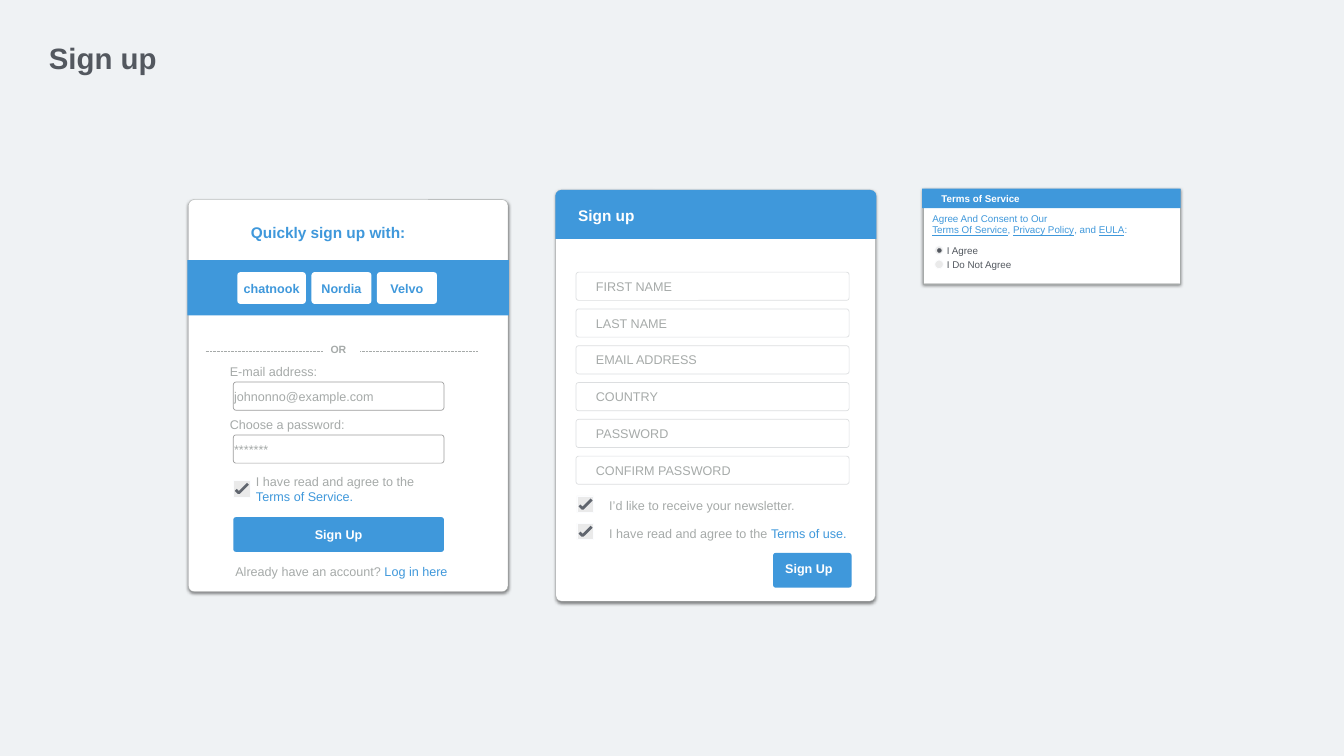
from dataclasses import dataclass

import pptx
import pptx.dml.color
import pptx.enum.dml
import pptx.enum.shapes
import pptx.enum.text
import pptx.oxml
import pptx.oxml.ns
import pptx.util

Inches = pptx.util.Inches
ShapeType = pptx.enum.shapes.MSO_SHAPE
Align = pptx.enum.text.PP_ALIGN


@dataclass(frozen=True)
class Theme:
    font: str = "Arial"
    background: str = "EFF2F4"
    blue: str = "3F98DB"
    white: str = "FFFFFF"
    gray: str = "A6AAA9"
    dark: str = "53585F"
    check: str = "60656E"
    control: str = "EAEAEA"
    control_line: str = "FCFDFF"
    input_line: str = "9C9C9C"
    field_line: str = "DCDEE0"
    title_size: int = 42
    heading_size: int = 22
    body_size: int = 18
    divider_size: int = 15
    small_size: int = 14


THEME = Theme()


def rgb(color):
    return pptx.dml.color.RGBColor.from_string(color)


def write_text(shape, text, size=THEME.body_size, color=THEME.gray, bold=False,
               align=Align.LEFT, wrap=True, inset=0, indent=0):
    """Text is a string, or a list of paragraphs made of (text, format) runs."""
    frame = shape.text_frame
    frame.auto_size = pptx.enum.text.MSO_AUTO_SIZE.NONE
    frame.word_wrap = wrap
    frame.vertical_anchor = pptx.enum.text.MSO_ANCHOR.MIDDLE
    frame.margin_left = Inches(inset + indent)
    frame.margin_right = frame.margin_top = frame.margin_bottom = Inches(inset)
    paragraphs = [[(text, {})]] if isinstance(text, str) else text
    for index, runs in enumerate(paragraphs):
        paragraph = frame.add_paragraph() if index else frame.paragraphs[0]
        paragraph.alignment = align
        for words, changes in runs:
            run = paragraph.add_run()
            run.text = words
            run.font.name = THEME.font
            run.font.size = pptx.util.Pt(size)
            run.font.bold = bold
            run.font.underline = changes.get("underline", False)
            run.font.color.rgb = rgb(changes.get("color", color))


def add_label(shapes, left, top, width, height, text, **text_format):
    label = shapes.add_textbox(Inches(left), Inches(top), Inches(width), Inches(height))
    write_text(label, text, **text_format)


def add_box(shapes, left, top, width, height, fill=None, line=None, line_width=1,
            kind=ShapeType.ROUNDED_RECTANGLE, radius=None, text=None, **text_format):
    box = shapes.add_shape(kind, Inches(left), Inches(top), Inches(width), Inches(height))
    box.shadow.inherit = False
    if radius is not None:
        box.adjustments[0] = radius
    if fill:
        box.fill.solid()
        box.fill.fore_color.rgb = rgb(fill)
    else:
        box.fill.background()
    if line:
        box.line.color.rgb = rgb(line)
        box.line.width = pptx.util.Pt(line_width)
    else:
        box.line.fill.background()
    if text:
        write_text(box, text, **text_format)
    return box


def add_card(shapes, left, top, width, height, **shape_format):
    card = add_box(shapes, left, top, width, height, THEME.white, THEME.gray, 0.5,
                   **shape_format)
    effects = card._element.spPr.find(pptx.oxml.ns.qn("a:effectLst"))
    effects.append(pptx.oxml.parse_xml(
        f'<a:outerShdw {pptx.oxml.ns.nsdecls("a")} blurRad="63500" dist="25400" '
        'dir="5400000" rotWithShape="0"><a:srgbClr val="000000">'
        '<a:alpha val="50000"/></a:srgbClr></a:outerShdw>'))


def add_button(shapes, left, top, width, height, text, **text_format):
    text_format = {"fill": THEME.blue, "color": THEME.white, "radius": 0.08} | text_format
    add_box(shapes, left, top, width, height, text=text, bold=True,
            align=Align.CENTER, **text_format)


def add_checkbox(shapes, left, top):
    add_box(shapes, left, top, 0.33, 0.33, THEME.control, THEME.control_line,
            kind=ShapeType.RECTANGLE)
    points = [(Inches(left + x), Inches(top + y))
              for x, y in ((0.05, 0.19), (0.11, 0.25), (0.29, 0.07))]
    builder = shapes.build_freeform(*points[0])
    builder.add_line_segments(points[1:], close=False)
    tick = builder.convert_to_shape()
    tick.shadow.inherit = False
    tick.fill.background()
    tick.line.color.rgb = rgb(THEME.check)
    tick.line.width = pptx.util.Pt(4)


def add_dotted_line(shapes, left, right, y):
    line = shapes.add_connector(pptx.enum.shapes.MSO_CONNECTOR.STRAIGHT,
                                Inches(left), Inches(y), Inches(right), Inches(y))
    line.line.color.rgb = rgb(THEME.gray)
    line.line.width = pptx.util.Pt(1)
    line.line.dash_style = pptx.enum.dml.MSO_LINE.ROUND_DOT
    line._element.spPr.append(
        pptx.oxml.parse_xml(f'<a:effectLst {pptx.oxml.ns.nsdecls("a")}/>'))


def add_radio(shapes, top, text, width, selected=False):
    add_box(shapes, 18.55, top, 0.17, 0.17, THEME.control, THEME.control_line,
            kind=ShapeType.OVAL)
    if selected:
        add_box(shapes, 18.6, top + 0.05, 0.08, 0.08, THEME.dark, THEME.dark, 0.5,
                kind=ShapeType.OVAL)
    add_label(shapes, 18.79, top - 0.07, width, 0.33, text,
              size=THEME.small_size, color=THEME.dark, wrap=False)


def add_quick_sign_up(shapes):
    link = {"color": THEME.blue}
    add_card(shapes, 3.74, 3.96, 6.34, 7.78, radius=0.018)
    add_label(shapes, 4.98, 4.38, 3.47, 0.47, "Quickly sign up with:",
              size=THEME.heading_size, color=THEME.blue, bold=True)

    # Account providers
    add_box(shapes, 3.72, 5.16, 6.38, 1.1, THEME.blue, kind=ShapeType.RECTANGLE)
    for left, width, name in ((4.71, 1.36, "chatnook"), (6.18, 1.19, "Nordia"),
                              (7.48, 1.19, "Velvo")):
        add_button(shapes, left, 5.4, width, 0.63, name,
                   fill=THEME.white, color=THEME.blue, radius=0.1)

    # Divider
    add_label(shapes, 6.56, 6.75, 0.44, 0.36, "OR",
              size=THEME.divider_size, bold=True, wrap=False)
    for left, right in ((4.08, 6.42), (7.15, 9.48)):
        add_dotted_line(shapes, left, right, 6.98)

    # Inputs, consent and button
    for top, caption, value in ((7.16, "E-mail address:", "johnonno@example.com"),
                                (8.21, "Choose a password:", "*******")):
        add_label(shapes, 4.56, top, 2.43, 0.41, caption, wrap=False)
        add_box(shapes, 4.63, top + 0.42, 4.18, 0.56, THEME.white, THEME.input_line,
                radius=0.095, text=value)
    add_checkbox(shapes, 4.63, 9.53)
    add_label(shapes, 5.08, 9.35, 3.39, 0.72,
              [[("I have read and agree to the", {})], [("Terms of Service.", link)]],
              wrap=False)
    add_button(shapes, 4.63, 10.26, 4.18, 0.69, "Sign Up")
    add_label(shapes, 3.92, 11.14, 5.71, 0.41,
              [[("Already have an account? ", {}), ("Log in here", link)]],
              align=Align.CENTER)


def add_full_sign_up(shapes):
    add_card(shapes, 11.03, 3.77, 6.34, 8.16, radius=0.018)
    add_box(shapes, 11.02, 3.77, 6.37, 0.97, THEME.blue, radius=0.12,
            kind=ShapeType.ROUND_2_SAME_RECTANGLE, text="Sign up",
            size=THEME.heading_size, color=THEME.white, bold=True, indent=0.42)

    # Fields
    names = ("FIRST NAME", "LAST NAME", "EMAIL ADDRESS", "COUNTRY", "PASSWORD",
             "CONFIRM PASSWORD")
    for index, name in enumerate(names):
        add_box(shapes, 11.43, 5.4 + 0.73 * index, 5.42, 0.56, line=THEME.field_line,
                radius=0.095, text=name, indent=0.38)

    # Options and button
    terms = [[("I have read and agree to the ", {}),
              ("Terms of use.", {"color": THEME.blue})]]
    for top, text in ((9.84, "I’d like to receive your newsletter."), (10.38, terms)):
        add_checkbox(shapes, 11.45, top)
        add_label(shapes, 12.09, top - 0.01, 5.1, 0.41, text)
    add_box(shapes, 15.34, 10.97, 1.56, 0.69, THEME.blue, radius=0.08)
    add_label(shapes, 15.58, 11.07, 1.09, 0.42, "Sign Up", color=THEME.white, bold=True)


def add_terms(shapes):
    link = {"underline": True}
    add_card(shapes, 18.32, 3.75, 5.1, 1.88, kind=ShapeType.RECTANGLE)
    add_box(shapes, 18.3, 3.74, 5.13, 0.39, THEME.blue, kind=ShapeType.RECTANGLE,
            text="Terms of Service", size=THEME.small_size, color=THEME.white,
            bold=True, indent=0.38)
    add_label(shapes, 18.5, 4.17, 3.95, 0.55,
              [[("Agree And Consent to Our", {})],
               [("Terms Of Service", link), (", ", {}), ("Privacy Policy", link),
                (", and ", {}), ("EULA", link), (":", {})]],
              size=THEME.small_size, color=THEME.blue, wrap=False)
    add_radio(shapes, 4.88, "I Agree", 0.74, selected=True)
    add_radio(shapes, 5.16, "I Do Not Agree", 1.41)


def main():
    presentation = pptx.Presentation()
    presentation.slide_width, presentation.slide_height = Inches(26.67), Inches(15)
    slide = presentation.slides.add_slide(presentation.slide_layouts[5])
    slide.background.fill.solid()
    slide.background.fill.fore_color.rgb = rgb(THEME.background)

    # Title
    title = slide.shapes.title
    title.left, title.top = Inches(0.91), Inches(0.75)
    title.width, title.height = Inches(2.26), Inches(0.81)
    write_text(title, "Sign up", size=THEME.title_size, color=THEME.dark, bold=True,
               wrap=False, inset=0.06)

    # One group for each panel
    for add_panel in (add_quick_sign_up, add_full_sign_up, add_terms):
        add_panel(slide.shapes.add_group_shape().shapes)
    presentation.save("out.pptx")


if __name__ == "__main__":
    main()
